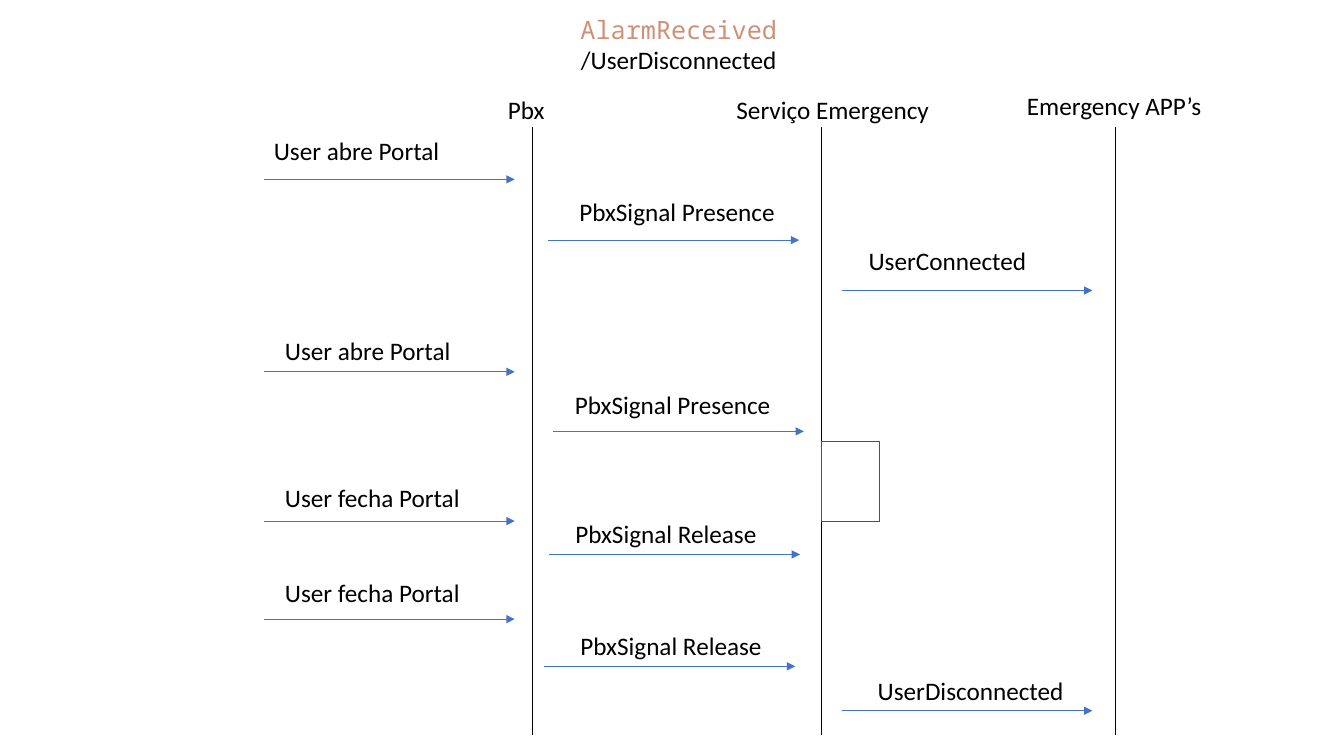
from lxml import etree
from pptx import Presentation
from pptx.dml.color import RGBColor as RGB
from pptx.enum.shapes import MSO_CONNECTOR as LINE, MSO_SHAPE as SHAPE
from pptx.enum.text import MSO_AUTO_SIZE as FIT, PP_ALIGN as ALIGN
from pptx.oxml.ns import qn
from pptx.util import Cm, Pt

COLORS = {"text": "000000", "code": "CE9178", "lifeline": "000000",
          "arrow": "4472C4", "activation": "325491"}
LABEL_W, LABEL_H = 5.79, 1.02
ARROW_W = 6.32
USER_X, APPS_X = 6.65, 21.21

# Name, lifeline x, name box left, name box top
ACTORS = [
    ("Pbx", 13.41, 12.55, 2.24),
    ("Serviço Emergency", 20.7, 18.31, 2.24),
    ("Emergency APP’s", 28.12, 25.63, 2.16),
]
# Text, arrow start x, arrow y, label indent, label rise above the arrow
MESSAGES = [
    ("User abre Portal", USER_X, 4.52, 0, 1.24),
    ("PbxSignal Presence", 13.82, 6.05, 0.53, 1.24),
    ("UserConnected", APPS_X, 7.32, 0.43, 1.27),
    ("User abre Portal", USER_X, 9.37, 0.28, 1.04),
    ("PbxSignal Presence", 13.94, 10.87, 0.3, 1.19),
    ("User fecha Portal", USER_X, 13.13, 0.28, 1.09),
    ("PbxSignal Release", 13.84, 13.97, 0.41, 1.04),
    ("User fecha Portal", USER_X, 15.6, 0.28, 1.17),
    ("PbxSignal Release", 13.72, 16.79, 0.66, 1.02),
    ("UserDisconnected", APPS_X, 17.91, 0.66, 1.02),
]


def add_text(tf, text, first=True, size=18, font="Calibri", color="text",
             align=ALIGN.LEFT):
    """Write one formatted paragraph into a text frame."""
    p = tf.paragraphs[0] if first else tf.add_paragraph()
    p.alignment = align
    r = p.add_run()
    r.text = text
    r.font.size = Pt(size)
    r.font.name = font
    r.font.color.rgb = RGB.from_string(COLORS[color])


def add_box(s, x, y, w, h):
    """Add a wrapping text box and return its text frame."""
    tf = s.shapes.add_textbox(Cm(x), Cm(y), Cm(w), Cm(h)).text_frame
    tf.word_wrap = True
    tf.auto_size = FIT.SHAPE_TO_FIT_TEXT
    return tf


def add_line(s, x, y, w, h, color, arrow=False):
    """Draw a thin line across a box, with an arrowhead if asked."""
    line = s.shapes.add_connector(LINE.STRAIGHT, Cm(x), Cm(y), Cm(x + w), Cm(y + h))
    line.line.color.rgb = RGB.from_string(COLORS[color])
    line.line.width = Pt(0.5)
    if arrow:
        etree.SubElement(line.line._get_or_add_ln(), qn("a:tailEnd"), type="triangle")
    etree.SubElement(line._element.spPr, qn("a:effectLst"))


def add_title(s, x, y, w, h):
    """Place the two-line centred title."""
    tf = add_box(s, x, y, w, h)
    add_text(tf, "AlarmReceived", font="Noto Sans Mono", color="code",
             align=ALIGN.CENTER)
    add_text(tf, "/UserDisconnected", first=False, align=ALIGN.CENTER)


def add_actor(s, name, line_x, x, y, top=3.2, height=15.32):
    """Place an actor's name and its lifeline."""
    add_line(s, line_x, top, 0, height, "lifeline")
    add_text(add_box(s, x, y, LABEL_W, LABEL_H), name)


def add_message(s, text, x, y, indent, rise):
    """Place a message arrow with its label above."""
    add_line(s, x, y, ARROW_W, 0, "arrow", arrow=True)
    add_text(add_box(s, x + indent, y - rise, LABEL_W, LABEL_H), text)


def add_activation(s, x, y, w, h):
    """Outline the activation box beside a lifeline."""
    sp = s.shapes.add_shape(SHAPE.RECTANGLE, Cm(x), Cm(y), Cm(w), Cm(h))
    sp.shadow.inherit = False
    sp.fill.background()
    sp.line.color.rgb = RGB.from_string(COLORS["activation"])
    sp.line.width = Pt(1)


def main():
    """Build the sequence diagram slide."""
    prs = Presentation()
    prs.slide_width, prs.slide_height = Cm(33.87), Cm(19.05)
    s = prs.slides.add_slide(prs.slide_layouts[6])
    for actor in ACTORS:
        add_actor(s, *actor)
    for message in MESSAGES:
        add_message(s, *message)
    add_activation(s, ACTORS[1][1], 11.13, 1.47, 2.01)
    add_title(s, 5.08, 0.23, 24.05, 1.8)
    prs.save("out.pptx")


main()
